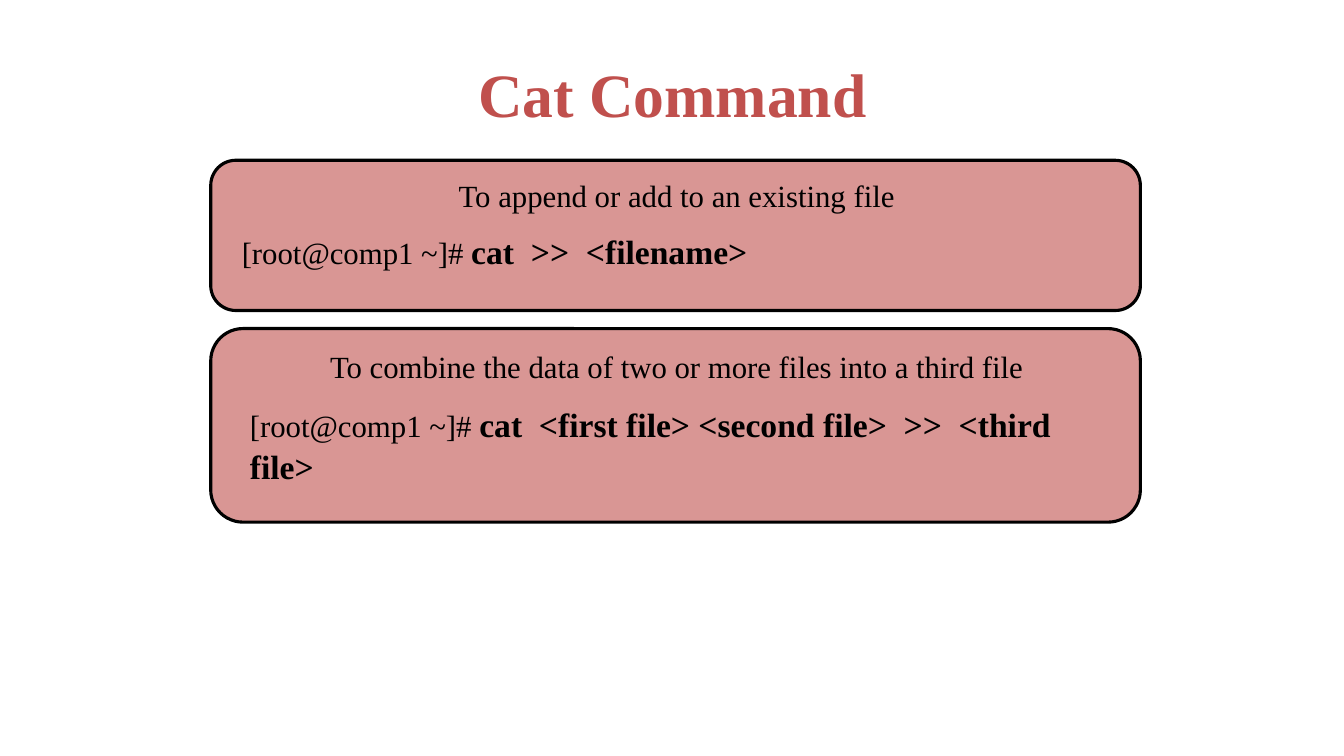
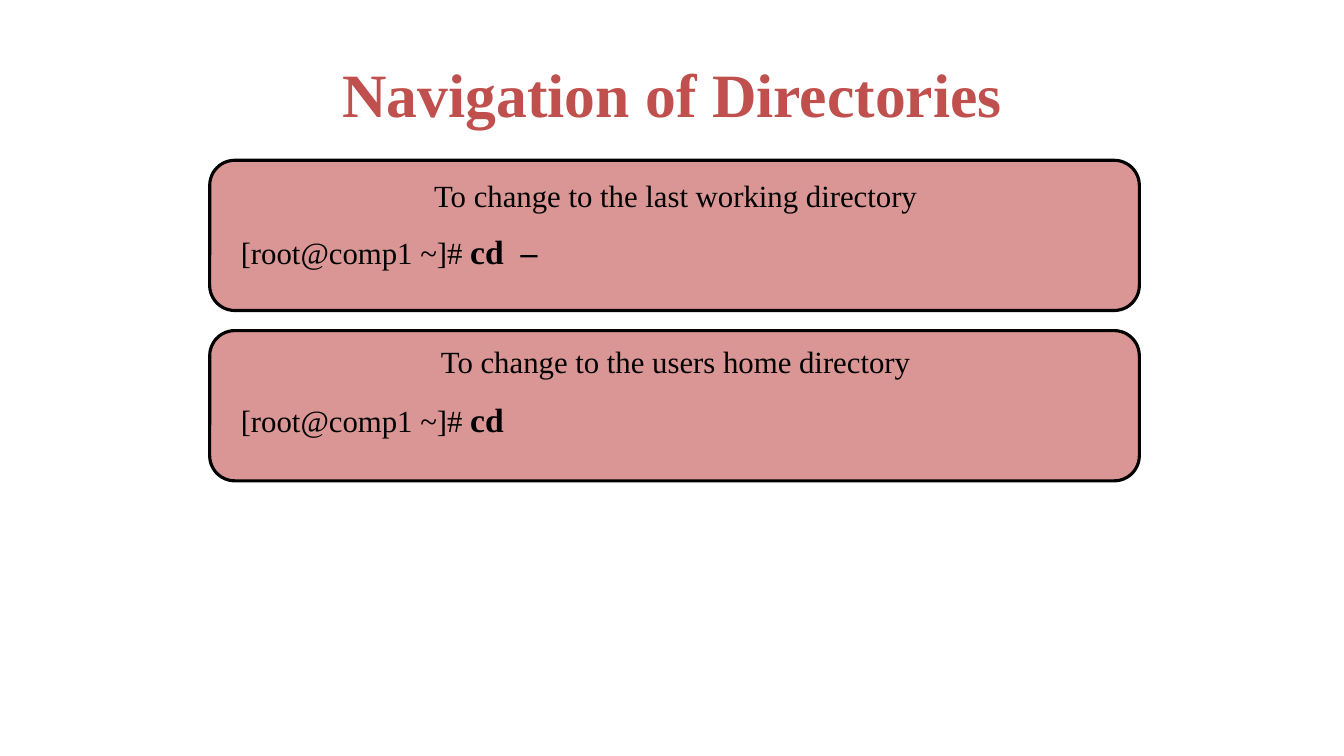
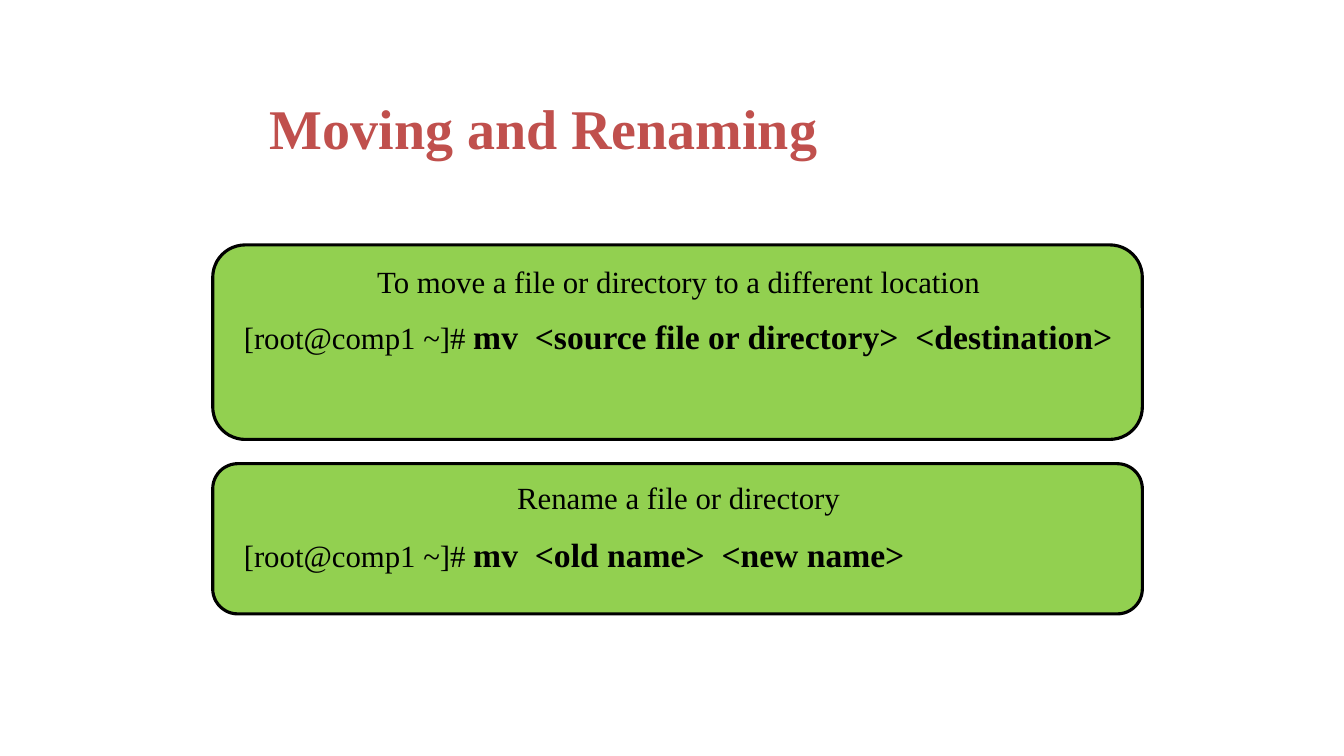
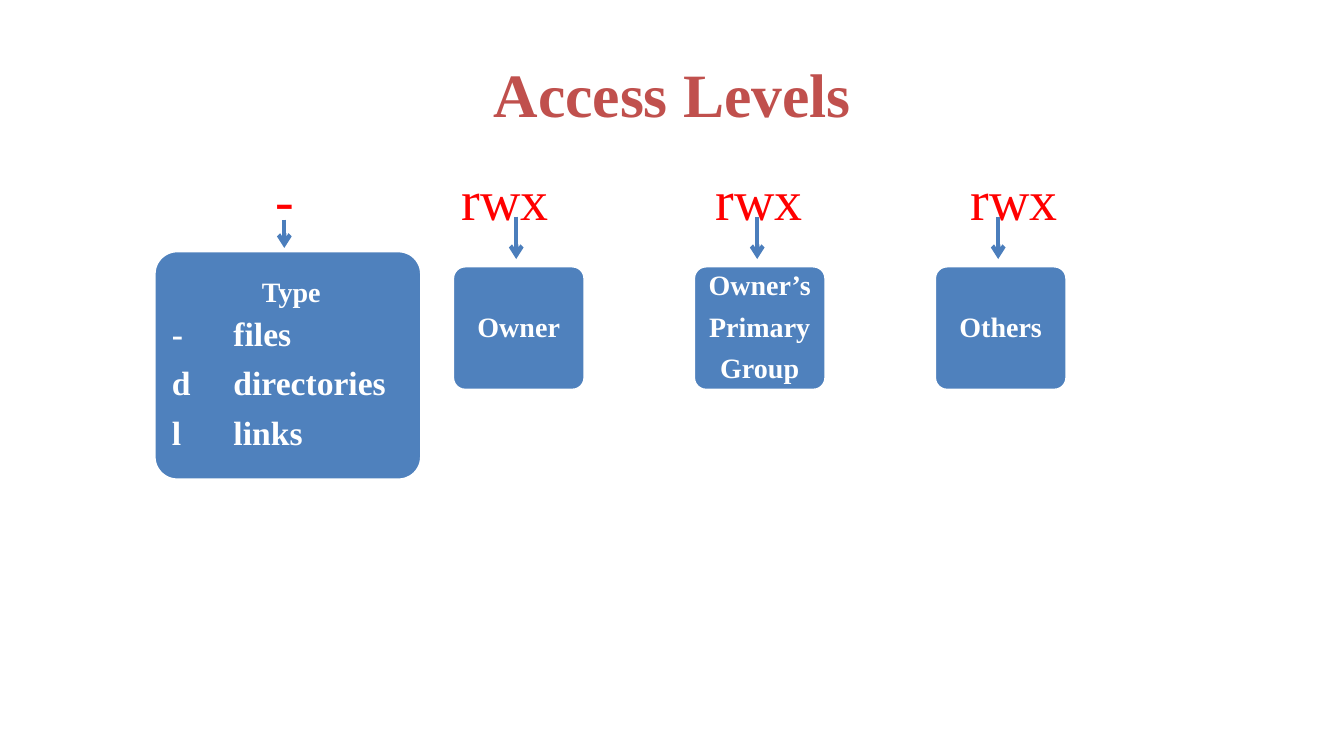
from dataclasses import dataclass

from pptx import Presentation
from pptx import util as u
from pptx.dml.color import RGBColor
from pptx.enum import shapes, text
from pptx.oxml.ns import qn
from lxml import etree

# Shared style
FONT = "Times New Roman"
BLACK = RGBColor(0x00, 0x00, 0x00)
WHITE = RGBColor(0xFF, 0xFF, 0xFF)
RED = RGBColor(0xFF, 0x00, 0x00)
BRICK = RGBColor(0xC0, 0x50, 0x4D)
ROSE = RGBColor(0xD9, 0x96, 0x94)
GREEN = RGBColor(0x92, 0xD0, 0x50)
BLUE = RGBColor(0x4F, 0x81, 0xBD)
ARROW_BLUE = RGBColor(0x4B, 0x7E, 0xBC)
LEFT, CENTER = text.PP_ALIGN.LEFT, text.PP_ALIGN.CENTER
TOP, MIDDLE = text.MSO_ANCHOR.TOP, text.MSO_ANCHOR.MIDDLE

# Slide and panel grid, in inches
SLIDE_WIDTH, SLIDE_HEIGHT = 13.33, 7.5
PANEL_WIDTH = 9.22
PANEL_INDENT = 0.2
CONTENT_WIDTH = 8.84
PROMPT = "[root@comp1 ~]# "

# Access card grid, in inches
CARD_LEFT, CARD_TOP, CARD_STEP = 4.49, 2.64, 2.39
CARD_WIDTH, CARD_HEIGHT = 1.31, 1.23


@dataclass(frozen=True)
class Box:
    left: float
    top: float
    width: float
    height: float

    def lengths(self) -> list:
        return [u.Inches(n) for n in (self.left, self.top, self.width, self.height)]


@dataclass(frozen=True)
class Panel:
    heading: str
    command: str
    top: float
    height: float
    heading_drop: float
    command_drop: float
    indent: float = 0.21


@dataclass(frozen=True)
class CommandSlide:
    title: str
    color: RGBColor
    panel_left: float
    panels: tuple
    title_box: Box = Box(0.67, 0.3, 12, 1.25)
    title_size: int = 44


COMMAND_SLIDES = (
    CommandSlide("Cat Command", ROSE, 2.09, (
        Panel("To append or add to an existing file", "cat  >>  <filename>",
              1.59, 1.49, 0.11, 0.63),
        Panel("To combine the data of two or more files into a third file",
              "cat  <first file> <second file>  >>  <third file>",
              3.26, 1.92, 0.14, 0.68, indent=0.29),
    )),
    CommandSlide("Navigation of Directories", ROSE, 2.08, (
        Panel("To change to the last working directory", "cd  –",
              1.59, 1.49, 0.11, 0.63),
        Panel("To change to the users home directory", "cd",
              3.28, 1.49, 0.07, 0.61),
    )),
    CommandSlide("Moving and Renaming", GREEN, 2.11, (
        Panel("To move a file or directory to a different location",
              "mv  <source file or directory>  <destination>",
              2.43, 1.93, 0.13, 0.64),
        Panel("Rename a file or directory", "mv  <old name>  <new name>",
              4.6, 1.49, 0.1, 0.63),
    ), Box(0.69, 0.54, 9.4, 1.44), 40),
)


def add_text(frame, content: str, *, size: float, color=BLACK, bold=False,
             align=LEFT, line=None, before=0, after=0, tabs=(), join=False):
    """Add a paragraph to a text frame, or with join a run to its last one."""
    paragraph = frame.paragraphs[-1]
    if paragraph.runs and not join:
        paragraph = frame.add_paragraph()
    if not join:
        paragraph.alignment = align
        paragraph.space_before, paragraph.space_after = u.Pt(before), u.Pt(after)
        if line:
            paragraph.line_spacing = line
        if tabs:
            stops = etree.SubElement(paragraph._p.get_or_add_pPr(), qn("a:tabLst"))
            for position, kind in tabs:
                etree.SubElement(stops, qn("a:tab"),
                                 pos=str(u.Inches(position)), algn=kind)
    run = paragraph.add_run()
    run.text = content
    run.font.name, run.font.size, run.font.bold = FONT, u.Pt(size), bold
    run.font.color.rgb = color


def add_frame(slide, box: Box, anchor=TOP):
    frame = slide.shapes.add_textbox(*box.lengths()).text_frame
    frame.word_wrap, frame.vertical_anchor = True, anchor
    return frame


def add_title(slide, title: str, box: Box = CommandSlide.title_box,
              size: int = CommandSlide.title_size) -> None:
    add_text(add_frame(slide, box, MIDDLE), title,
             size=size, color=BRICK, bold=True, align=CENTER)


def add_rounded(slide, box: Box, fill, line, line_width: float):
    shape = slide.shapes.add_shape(shapes.MSO_SHAPE.ROUNDED_RECTANGLE, *box.lengths())
    shape.shadow.inherit = False
    shape.fill.solid()
    shape.fill.fore_color.rgb = fill
    shape.line.color.rgb, shape.line.width = line, u.Pt(line_width)
    return shape


def add_panel(slide, panel: Panel, left: float, color: RGBColor) -> None:
    add_rounded(slide, Box(left, panel.top, PANEL_WIDTH, panel.height), color, BLACK, 2.25)
    heading = add_frame(slide, Box(left + PANEL_INDENT, panel.top + panel.heading_drop,
                                   CONTENT_WIDTH, 0.47))
    add_text(heading, panel.heading, size=22, align=CENTER)
    width = CONTENT_WIDTH + PANEL_INDENT - panel.indent
    command = add_frame(slide, Box(left + panel.indent, panel.top + panel.command_drop,
                                   width, 0.52))
    add_text(command, PROMPT, size=22, line=u.Pt(30))
    add_text(command, panel.command, size=24, bold=True, join=True)


def add_card(slide, box: Box, left_margin: float = 0.05, right_margin: float = 0.05):
    """Draw a blue card and return its text frame."""
    card = add_rounded(slide, box, BLUE, WHITE, 2)
    card.adjustments[0] = 0.1
    frame = card.text_frame
    frame.word_wrap, frame.vertical_anchor = True, MIDDLE
    frame.margin_left, frame.margin_right = u.Inches(left_margin), u.Inches(right_margin)
    return frame


def add_arrow(slide, x: float, top: float, bottom: float) -> None:
    arrow = slide.shapes.add_connector(
        shapes.MSO_CONNECTOR.STRAIGHT, *[u.Inches(n) for n in (x, top, x, bottom)])
    arrow.line.color.rgb, arrow.line.width = ARROW_BLUE, u.Pt(3)
    etree.SubElement(arrow.line._get_or_add_ln(), qn("a:tailEnd"), type="arrow")
    etree.SubElement(arrow._element.spPr, qn("a:effectLst"))


def build_access_slide(slide) -> None:
    add_title(slide, "Access Levels")

    # Permission string, centred on tab stops
    add_text(add_frame(slide, Box(1.92, 1.25, 9.42, 1.74)), "\t-\trwx\trwx\trwx",
             size=40, color=RED, line=1.5, before=4,
             tabs=[(n, "ctr") for n in (0.81, 2.99, 5.51, 8.04)])

    # File type card
    frame = add_card(slide, Box(1.53, 2.49, 2.65, 2.27), 0.11, 0.04)
    add_text(frame, "Type", size=20, color=WHITE, bold=True,
             align=CENTER, line=0.9, after=6)
    for symbol, meaning in (("-", "files"), ("d", "directories"), ("l", "links")):
        add_text(frame, f"{symbol}\t{meaning}", size=24, color=WHITE, bold=True,
                 line=0.9, after=9.4, tabs=[(0.61, "l")])
    add_arrow(slide, 2.82, 2.18, 2.46)

    # One card for each group of users
    for column, lines in enumerate((("Owner",), ("Owner’s", "Primary", "Group"), ("Others",))):
        left = CARD_LEFT + column * CARD_STEP
        frame = add_card(slide, Box(left, CARD_TOP, CARD_WIDTH, CARD_HEIGHT))
        for content in lines:
            add_text(frame, content, size=20, color=WHITE, bold=True,
                     align=CENTER, line=0.9, after=8)
        add_arrow(slide, left + 0.63, 2.15, 2.57)


def main() -> None:
    presentation = Presentation()
    presentation.slide_width = u.Inches(SLIDE_WIDTH)
    presentation.slide_height = u.Inches(SLIDE_HEIGHT)
    blank = presentation.slide_layouts[6]
    for content in COMMAND_SLIDES:
        slide = presentation.slides.add_slide(blank)
        add_title(slide, content.title, content.title_box, content.title_size)
        for panel in content.panels:
            add_panel(slide, panel, content.panel_left, content.color)
    build_access_slide(presentation.slides.add_slide(blank))
    presentation.save("out.pptx")


if __name__ == "__main__":
    main()
